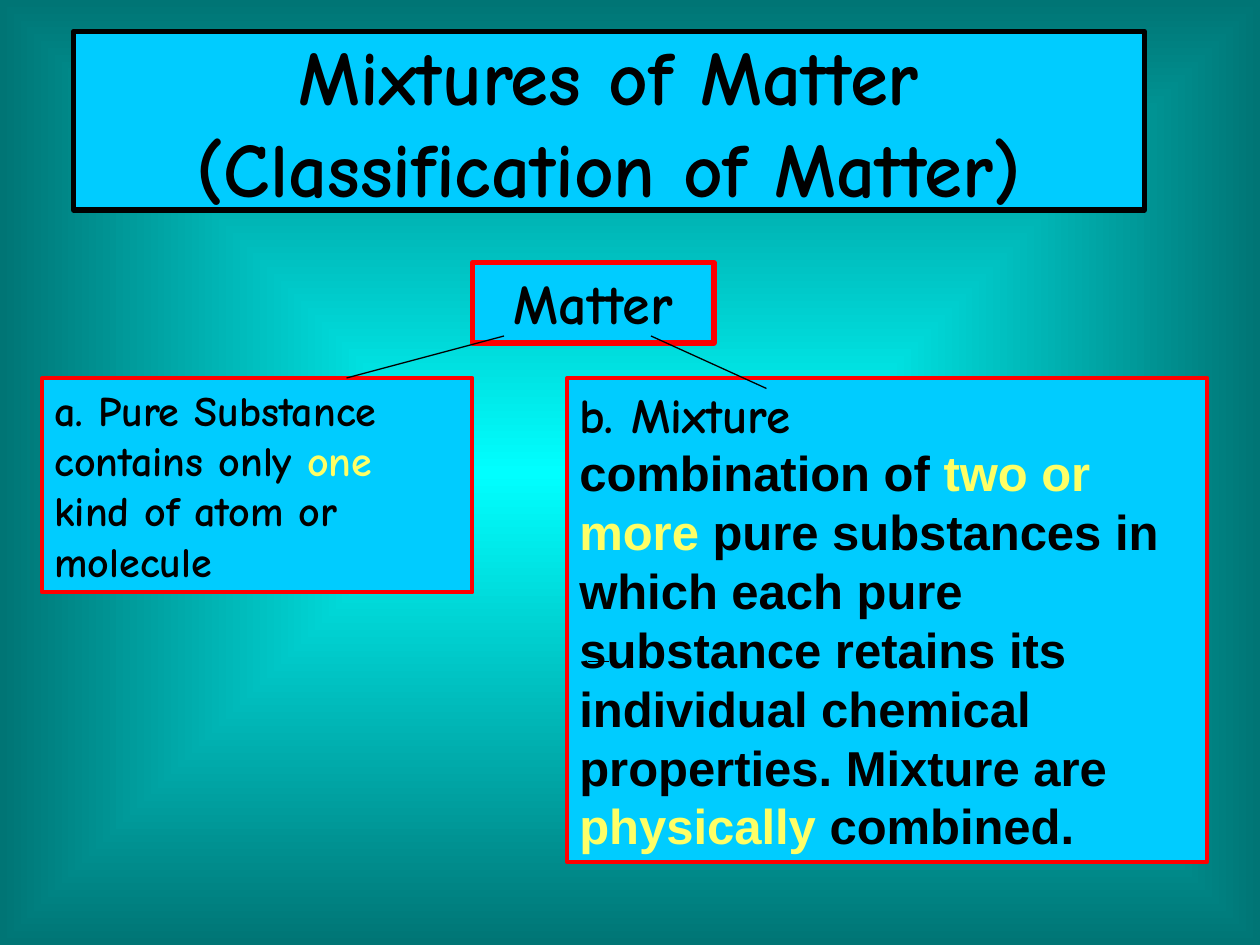
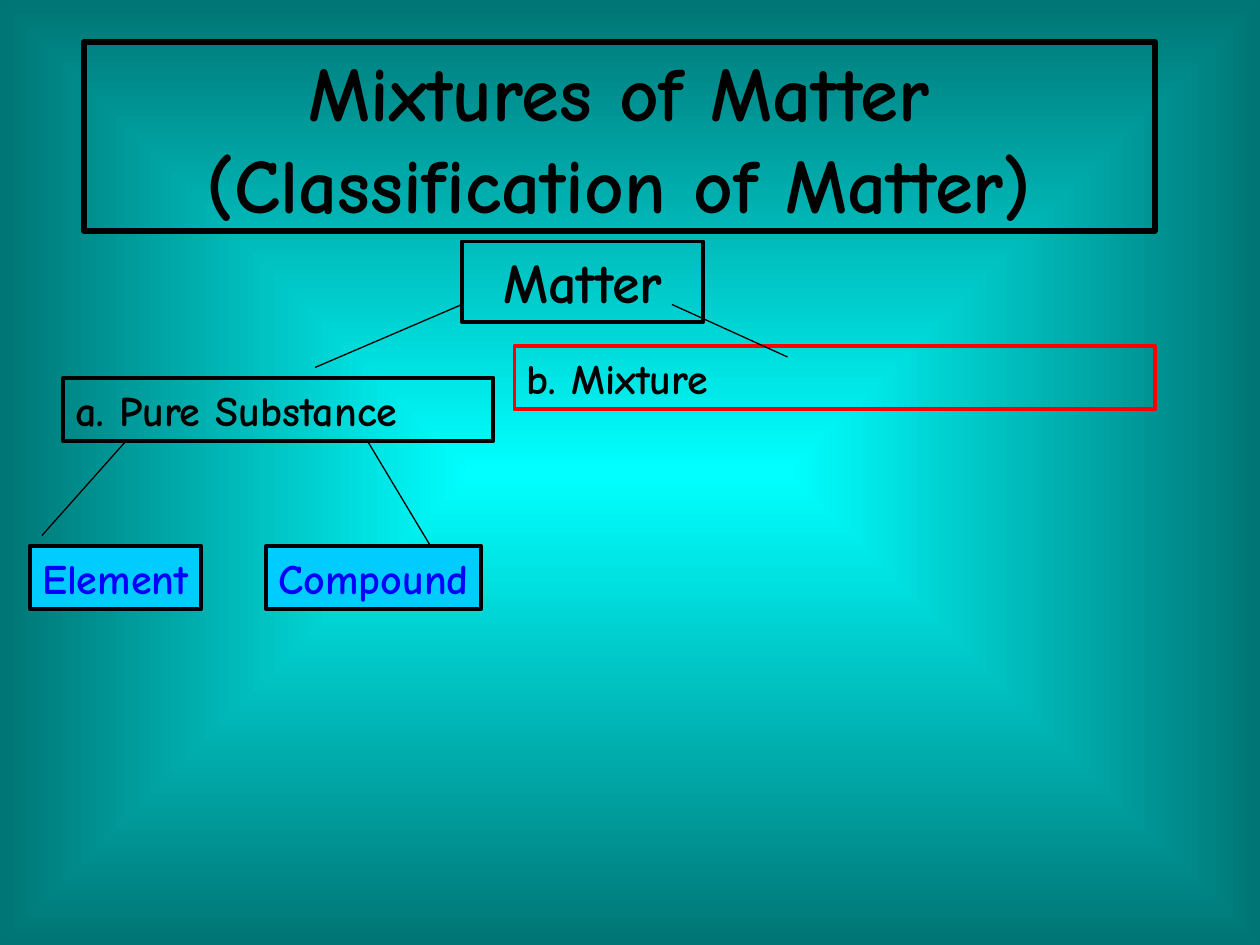
"""Build two slides on the classification of matter."""
from pptx import Presentation
from pptx.dml.color import RGBColor
from pptx.enum.shapes import MSO_CONNECTOR, MSO_SHAPE
from pptx.enum.text import MSO_ANCHOR, MSO_AUTO_SIZE, PP_ALIGN
from pptx.oxml import parse_xml
from pptx.oxml.ns import nsdecls, qn
from pptx.util import Pt
from lxml.etree import SubElement

BLACK = RGBColor(0x00, 0x00, 0x00)
RED = RGBColor(0xFF, 0x00, 0x00)
BLUE = RGBColor(0x00, 0x00, 0xFF)
SKY = RGBColor(0x00, 0xCC, 0xFF)
YELLOW = RGBColor(0xFF, 0xFF, 0x66)
CENTRE_GLOW = RGBColor(0x00, 0xFF, 0xFF)
EDGE_TEAL = RGBColor(0x00, 0x75, 0x75)
COMIC = "Comic Neue"
ARIAL = "Arial"
TITLE = "Mixtures of Matter (Classification of Matter)"


def add_glowing_slide(deck):
    """Add a blank slide whose background glows from its centre."""
    slide = deck.slides.add_slide(deck.slide_layouts[6])
    slide.element.cSld.insert(0, parse_xml(
        f'<p:bg {nsdecls("p", "a")}><p:bgPr><a:gradFill rotWithShape="0"><a:gsLst>'
        f'<a:gs pos="0"><a:srgbClr val="{CENTRE_GLOW}"/></a:gs>'
        f'<a:gs pos="100000"><a:srgbClr val="{EDGE_TEAL}"/></a:gs></a:gsLst>'
        '<a:path path="rect"><a:fillToRect l="50000" t="50000" r="50000" b="50000"/></a:path>'
        '</a:gradFill><a:effectLst/></p:bgPr></p:bg>'))
    return slide


def write_paragraph(paragraph, phrases, size, font=COMIC, color=BLACK, align=PP_ALIGN.LEFT):
    """Write phrases in one style, with every second phrase highlighted."""
    paragraph.alignment = align
    paragraph.font.name = font
    paragraph.font.size = Pt(size)
    paragraph.font.bold = True
    paragraph.font.color.rgb = color
    for index, phrase in enumerate(phrases):
        run = paragraph.add_run()
        run.text = phrase
        if index % 2:
            run.font.color.rgb = YELLOW


def add_panel(slide, box, outline, weight=2.25, fill=None, wrap=True):
    """Add an outlined rectangle and return its text frame."""
    panel = slide.shapes.add_shape(MSO_SHAPE.RECTANGLE, *map(Pt, box))
    panel.shadow.inherit = False
    panel.line.color.rgb = outline
    panel.line.width = Pt(weight)
    if fill is None:
        panel.fill.background()
    else:
        panel.fill.solid()
        panel.fill.fore_color.rgb = fill
    frame = panel.text_frame
    frame.word_wrap = wrap
    frame.auto_size = MSO_AUTO_SIZE.SHAPE_TO_FIT_TEXT
    frame.vertical_anchor = MSO_ANCHOR.TOP
    return frame


def add_title(slide, box, fill=None):
    """Add the framed slide title."""
    frame = add_panel(slide, box, BLACK, 3, fill)
    frame.auto_size = MSO_AUTO_SIZE.NONE
    frame.vertical_anchor = MSO_ANCHOR.MIDDLE
    write_paragraph(frame.paragraphs[0], [TITLE], 44, align=PP_ALIGN.CENTER)


def add_matter(slide, box, outline, weight, fill=None):
    """Add the root box of the tree."""
    frame = add_panel(slide, box, outline, weight, fill)
    write_paragraph(frame.paragraphs[0], ["Matter"], 32, align=PP_ALIGN.CENTER)


def add_definition(slide, box, heading, phrases, size, font):
    """Add a branch box with a heading and its definition."""
    frame = add_panel(slide, box, RED, fill=SKY)
    write_paragraph(frame.paragraphs[0], [heading], size)
    write_paragraph(frame.add_paragraph(), phrases, size, font)


def add_branch(slide, box, name, outline=BLACK):
    """Add an unfilled branch box."""
    frame = add_panel(slide, box, outline)
    write_paragraph(frame.paragraphs[0], [name], 24)


def add_leaf(slide, box, name):
    """Add a filled box for a kind of pure substance."""
    frame = add_panel(slide, box, BLACK, fill=SKY, wrap=False)
    write_paragraph(frame.paragraphs[0], [name], 24, color=BLUE)


def add_links(slide, links):
    """Draw thin lines, each given by its two end points."""
    for ends in links:
        link = slide.shapes.add_connector(MSO_CONNECTOR.STRAIGHT, *map(Pt, ends))
        link.line.color.rgb = BLACK
        link.line.width = Pt(0.75)
        SubElement(link.element.spPr, qn("a:effectLst"))


def build_definitions(deck):
    """Build the slide that defines pure substances and mixtures."""
    slide = add_glowing_slide(deck)
    add_title(slide, (42, 18, 612, 102), SKY)
    add_matter(slide, (270, 150, 138, 46), RED, 3, SKY)
    add_definition(slide, (24, 216, 246, 122.5), "a. Pure Substance",
                   ["contains only ", "one", " kind of atom or molecule"], 24, COMIC)
    add_definition(slide, (324, 216, 366, 276.5), "b. Mixture",
                   ["combination of ", "two or more",
                    " pure substances in which each pure substance retains its "
                    "individual chemical properties. Mixture are ",
                    "physically", " combined."], 28, ARIAL)
    add_links(slide, [(288, 192, 198, 216), (372, 192, 438, 222), (336, 378, 348, 378)])


def build_tree(deck):
    """Build the slide that splits pure substances into two kinds."""
    slide = add_glowing_slide(deck)
    add_title(slide, (48, 24, 612, 108))
    add_matter(slide, (264, 138, 138, 46), BLACK, 2.25)
    add_branch(slide, (36, 216, 246, 36), "a. Pure Substance")
    add_branch(slide, (294, 198, 366, 36), "b. Mixture", RED)
    add_leaf(slide, (17, 312, 98, 36), "Element")
    add_leaf(slide, (152, 312, 123, 36), "Compound")
    add_links(slide, [(264, 174, 180, 210), (384, 174, 450, 204),
                      (72, 252, 24, 306), (210, 252, 246, 312)])


def main():
    """Build and save the deck."""
    deck = Presentation()
    deck.slide_width, deck.slide_height = Pt(720), Pt(540)
    build_definitions(deck)
    build_tree(deck)
    deck.save("out.pptx")


if __name__ == "__main__":
    main()
